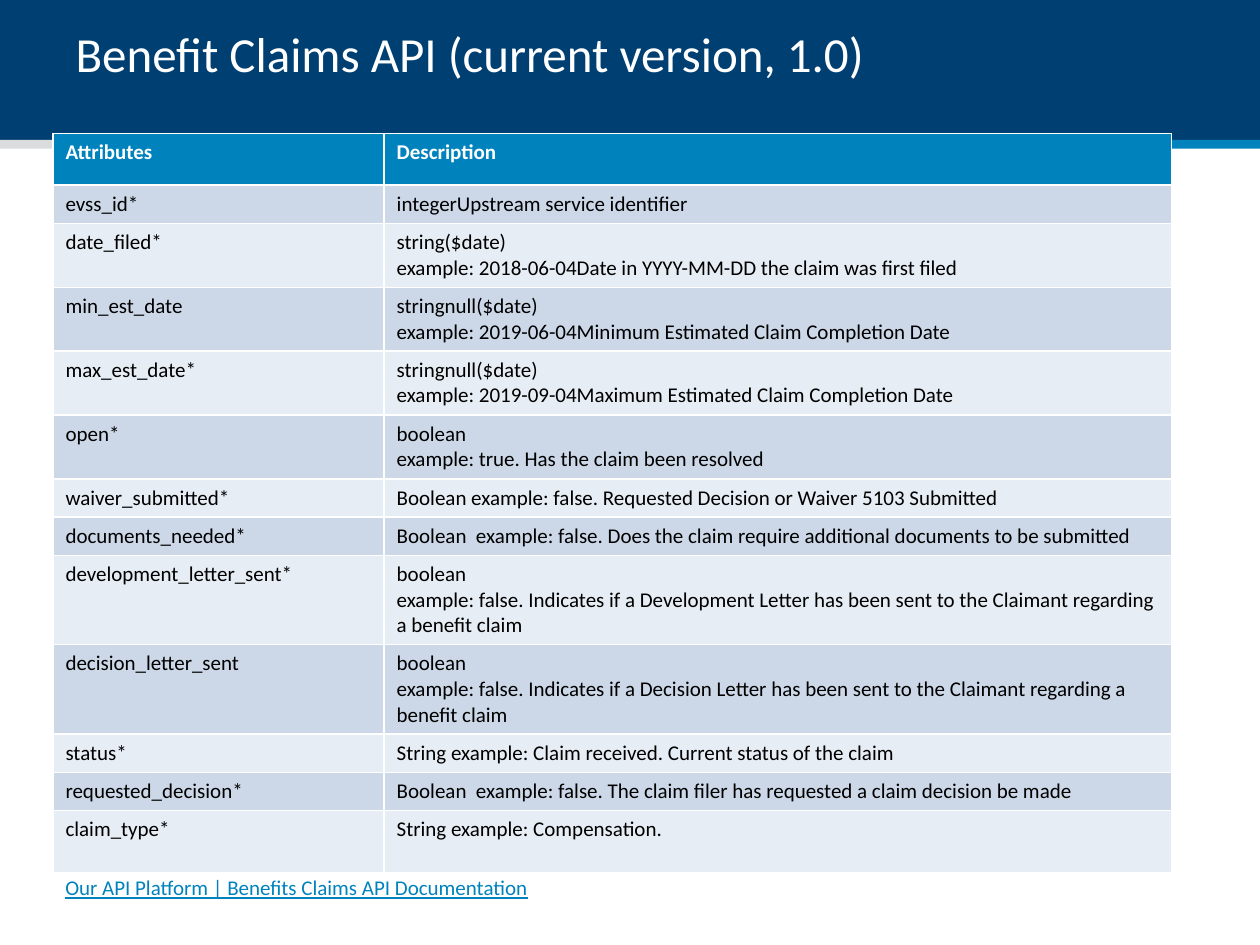
from dataclasses import dataclass
from pptx import Presentation
from pptx.dml.color import RGBColor as Rgb
from pptx.enum.shapes import MSO_SHAPE as Kind
from pptx.enum.text import MSO_ANCHOR as Anchor, MSO_AUTO_SIZE as Fit, PP_ALIGN as Align
from pptx.util import Inches, Pt


@dataclass(frozen=True)
class Theme:
    """Colours, font and type sizes."""
    navy: str = "003F72"
    blue: str = "0082BD"
    red: str = "C6262D"
    grey: str = "DBDCDE"
    dark: str = "CCD8E8"
    light: str = "E7EDF4"
    white: str = "FFFFFF"
    black: str = "000000"
    font: str = "Calibri"
    large: int = 28
    small: int = 12


@dataclass(frozen=True)
class Box:
    """A region measured in slide units."""
    left: int
    top: int
    width: int
    height: int

    def inner(self, x, y, w, h):
        """Return an inner box from percentages of this one."""
        return Box(int(self.left + self.width * x / 100), int(self.top + self.height * y / 100),
                   int(self.width * w / 100), int(self.height * h / 100))

    def spot(self):
        """Return left, top, width and height."""
        return self.left, self.top, self.width, self.height


THEME = Theme()
NB = "\u00a0"
HEAD = ("Attributes", "Description")
ROWS = [
    ("evss_id*", "integerUpstream service identifier", 0.29),
    ("date_filed*", f"string($date)\nexample:{NB}2018-06-04Date in YYYY-MM-DD the claim was first filed", 0.49),
    ("min_est_date", f"stringnull($date)\nexample:{NB}2019-06-04Minimum Estimated Claim Completion Date", 0.49),
    ("max_est_date*", f"stringnull($date)\nexample:{NB}2019-09-04Maximum Estimated Claim Completion Date", 0.49),
    ("open*", f"boolean\nexample:{NB}true. Has the claim been resolved", 0.49),
    ("waiver_submitted*", f"Boolean example:{NB}false. Requested Decision or Waiver 5103 Submitted", 0.25),
    ("documents_needed*",
     f"Boolean  example:{NB}false. Does the claim require additional documents to be submitted", 0.29),
    ("development_letter_sent*",
     f"boolean\nexample:{NB}false. Indicates if a Development Letter has been sent "
     "to the Claimant regarding a benefit claim", 0.68),
    ("decision_letter_sent",
     f"boolean\nexample:{NB}false. Indicates if a Decision Letter has been sent "
     "to the Claimant regarding a benefit claim", 0.68),
    ("status*", f"String example:{NB}Claim received. Current status of the claim", 0.27),
    ("requested_decision*",
     f"Boolean  example:{NB}false. The claim filer has requested a claim decision be made ", 0.27),
    ("claim_type*", f"String example:{NB}Compensation. ", 0.49),
]


def write(para, text, size, color, bold=False, line=False):
    """Fill a paragraph and set its font."""
    para.text = text
    para.alignment = Align.LEFT
    font = para.font
    font.name, font.size, font.bold, font.underline = THEME.font, Pt(size), bold, line
    font.color.rgb = Rgb.from_string(color)


def bar(slide, box, color):
    """Draw one plain filled bar."""
    shape = slide.shapes.add_shape(Kind.RECTANGLE, *box.spot())
    shape.shadow.inherit = False
    shape.fill.solid()
    shape.fill.fore_color.rgb = Rgb.from_string(color)
    shape.line.fill.background()


def band(slide, box):
    """Draw the header band and its stripe in three equal parts."""
    bar(slide, box.inner(0, 0, 100, 96.6), THEME.navy)
    for num, color in enumerate((THEME.grey, THEME.red, THEME.blue)):
        bar(slide, box.inner(num * 100 / 3, 94.07, 100 / 3, 5.93), color)


def title(slide, box, text):
    """Place the title above the band."""
    shape = slide.shapes.title
    shape.left, shape.top, shape.width, shape.height = box.spot()
    frame = shape.text_frame
    frame.auto_size, frame.vertical_anchor = Fit.NONE, Anchor.TOP
    write(frame.paragraphs[0], text, THEME.large, THEME.white)
    slide.shapes.element.append(shape.element)


def grid(slide, box):
    """Build the table of attributes."""
    table = slide.shapes.add_table(len(ROWS) + 1, len(HEAD), *box.spot()).table
    for col, share in zip(table.columns, (0.296, 0.704)):
        col.width = int(box.width * share)
    for num, (*texts, high) in enumerate([(*HEAD, 0.41), *ROWS]):
        table.rows[num].height = Inches(high)
        top = num == 0
        fill = THEME.blue if top else THEME.dark if num % 2 else THEME.light
        ink = THEME.white if top else THEME.black
        for cell, text in zip(table.rows[num].cells, texts):
            cell.fill.solid()
            cell.fill.fore_color.rgb = Rgb.from_string(fill)
            write(cell.text_frame.paragraphs[0], text, THEME.small, ink, bold=top)


def source(slide, box, text):
    """Place the underlined source line."""
    frame = slide.shapes.add_textbox(*box.spot()).text_frame
    frame.word_wrap = True
    frame.auto_size = Fit.SHAPE_TO_FIT_TEXT
    write(frame.paragraphs[0], text, THEME.small, THEME.blue, line=True)


def main():
    """Build and save the slide."""
    deck = Presentation()
    deck.slide_width, deck.slide_height = Inches(10), Inches(7.5)
    slide = deck.slides.add_slide(deck.slide_layouts[5])
    page = Box(0, 0, deck.slide_width, deck.slide_height)
    band(slide, page.inner(0, 0, 100, 15.73))
    grid(slide, page.inner(4.2, 14.13, 88.8, 77.2))
    title(slide, page.inner(5, 1.87, 90, 11.87), "Benefit Claims API (current version, 1.0)")
    source(slide, page.inner(4.2, 91.87, 77.7, 4), "Our API Platform | Benefits Claims API Documentation")
    deck.save("out.pptx")


main()
